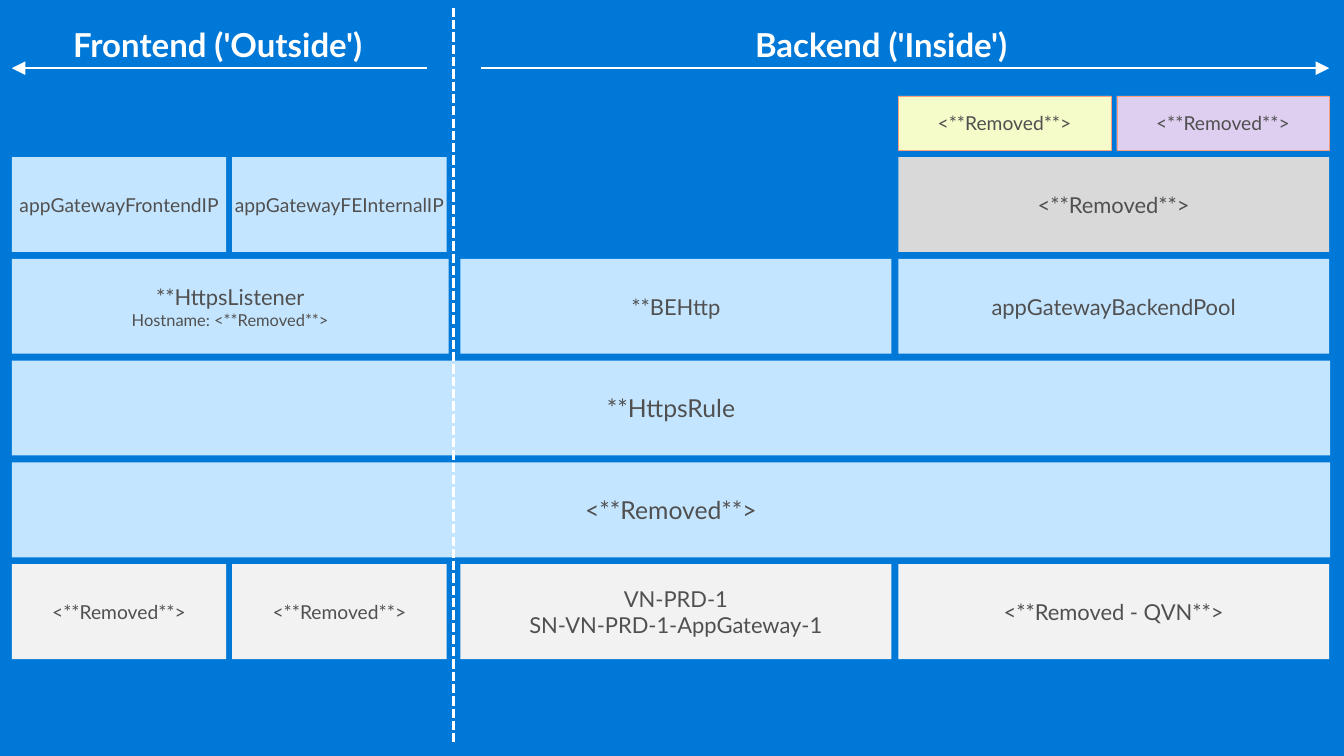
from dataclasses import dataclass

from lxml.etree import SubElement
from pptx import Presentation
from pptx.dml.color import RGBColor
from pptx.enum.dml import MSO_LINE
from pptx.enum.shapes import MSO_CONNECTOR as Conn, MSO_SHAPE as Shape
from pptx.enum.text import MSO_ANCHOR as Anchor, MSO_AUTO_SIZE as Fit, PP_ALIGN as Align
from pptx.oxml.ns import qn
from pptx.util import Inches, Pt

FONT = "Lato"
COLORS = {
    "back": "0078D7", "white": "FFFFFF", "text": "505050", "blue": "C4E5FF",
    "gray": "D9D9D9", "pale": "F2F2F2", "lilac": "DECEF0", "lime": "F5FCC9",
    "edge": "FE9F7C",
}
# Grid: column starts, widths and evenly spaced rows
LEFT, NEXT, MID, RIGHT = 0.12, 2.35, 4.66, 9.09
HALF, WIDE, FULL = 2.17, 4.36, 13.34
TOP, STEP, HIGH = 1.59, 1.03, 0.96
ROWS = [TOP + STEP * i for i in range(5)]
REMOVED = "<**Removed**>"


@dataclass
class Box:
    text: str
    x: float
    y: float
    w: float
    fill: str
    sizes: tuple[int, ...]
    h: float = HIGH
    edge: str = ""


@dataclass
class Title:
    text: str
    x: float
    w: float


@dataclass
class Line:
    x1: float
    y1: float
    x2: float
    y2: float
    width: float = 1.5
    arrow: bool = True


TITLES = [Title("Frontend ('Outside')", 0.54, 3.61), Title("Backend ('Inside')", 7.44, 3.22)]
BOXES = [
    Box(REMOVED, RIGHT, 0.97, 2.15, "lime", (14,), 0.55, "edge"),
    Box(REMOVED, 11.3, 0.97, 2.15, "lilac", (14,), 0.55, "edge"),
    Box("appGatewayFrontendIP", LEFT, ROWS[0], HALF, "blue", (14,)),
    Box("appGatewayFEInternalIP", NEXT, ROWS[0], HALF, "blue", (14,)),
    Box(REMOVED, RIGHT, ROWS[0], WIDE, "gray", (16,)),
    Box(f"**HttpsListener\nHostname: {REMOVED}", LEFT, ROWS[1], 4.42, "blue", (16, 12)),
    Box("**BEHttp", MID, ROWS[1], WIDE, "blue", (16,)),
    Box("appGatewayBackendPool", RIGHT, ROWS[1], WIDE, "blue", (16,)),
    Box("**HttpsRule", LEFT, ROWS[2], FULL, "blue", (18,)),
    Box(REMOVED, LEFT, ROWS[3], FULL, "blue", (18,)),
    Box(REMOVED, LEFT, ROWS[4], HALF, "pale", (14,)),
    Box(REMOVED, NEXT, ROWS[4], HALF, "pale", (14,)),
    Box("VN-PRD-1\nSN-VN-PRD-1-AppGateway-1", MID, ROWS[4], WIDE, "pale", (16, 16)),
    Box("<**Removed - QVN**>", RIGHT, ROWS[4], WIDE, "pale", (16,)),
]
LINES = [
    Line(4.87, 0.69, 13.45, 0.69),
    Line(4.32, 0.69, 0.12, 0.69),
    Line(4.59, 0.08, 4.59, 7.51, 2.25, False),
]


def color(name: str) -> RGBColor:
    return RGBColor.from_string(COLORS[name])


def inset(frame, side: float, end: float) -> None:
    frame.margin_left = frame.margin_right = Inches(side)
    frame.margin_top = frame.margin_bottom = Inches(end)


def style(para, size: int, name: str, bold: bool = False) -> None:
    for run in para.runs:
        run.font.name, run.font.size, run.font.bold = FONT, Pt(size), bold
        run.font.color.rgb = color(name)


def add_title(slide, title: Title) -> None:
    place = map(Inches, (title.x, 0.13, title.w, 0.69))
    frame = slide.shapes.add_textbox(*place).text_frame
    frame.text = title.text
    frame.word_wrap = False
    frame.auto_size = Fit.SHAPE_TO_FIT_TEXT
    inset(frame, 0.2, 0.16)
    para = frame.paragraphs[0]
    para.line_spacing, para.space_after = 0.9, Pt(6)
    style(para, 24, "white", True)


def add_box(slide, box: Box) -> None:
    place = map(Inches, (box.x, box.y, box.w, box.h))
    shape = slide.shapes.add_shape(Shape.RECTANGLE, *place)
    shape.shadow.inherit = False
    shape.fill.solid()
    shape.fill.fore_color.rgb = color(box.fill)
    if box.edge:
        shape.line.color.rgb = color(box.edge)
        shape.line.width = Pt(0.25)
    else:
        shape.line.fill.background()
    frame = shape.text_frame
    frame.text = box.text
    frame.word_wrap = True
    frame.vertical_anchor = Anchor.MIDDLE
    inset(frame, 0, 0.05)
    for para, size in zip(frame.paragraphs, box.sizes):
        para.alignment = Align.CENTER
        style(para, size, "text")


def add_line(slide, line: Line) -> None:
    ends = map(Inches, (line.x1, line.y1, line.x2, line.y2))
    link = slide.shapes.add_connector(Conn.STRAIGHT, *ends)
    link.line.color.rgb = color("white")
    link.line.width = Pt(line.width)
    props = link._element.spPr
    if line.arrow:
        SubElement(props.find(qn("a:ln")), qn("a:tailEnd"), type="triangle", w="lg", len="lg")
    else:
        link.line.dash_style = MSO_LINE.SQUARE_DOT
    SubElement(props, qn("a:effectLst"))


def main() -> None:
    deck = Presentation()
    deck.slide_width, deck.slide_height = Inches(13.6), Inches(7.65)
    slide = deck.slides.add_slide(deck.slide_layouts[6])
    slide.background.fill.solid()
    slide.background.fill.fore_color.rgb = color("back")

    # Headings, blocks, then the lines on top
    for title in TITLES:
        add_title(slide, title)
    for box in BOXES:
        add_box(slide, box)
    for line in LINES:
        add_line(slide, line)
    deck.save("out.pptx")


if __name__ == "__main__":
    main()
